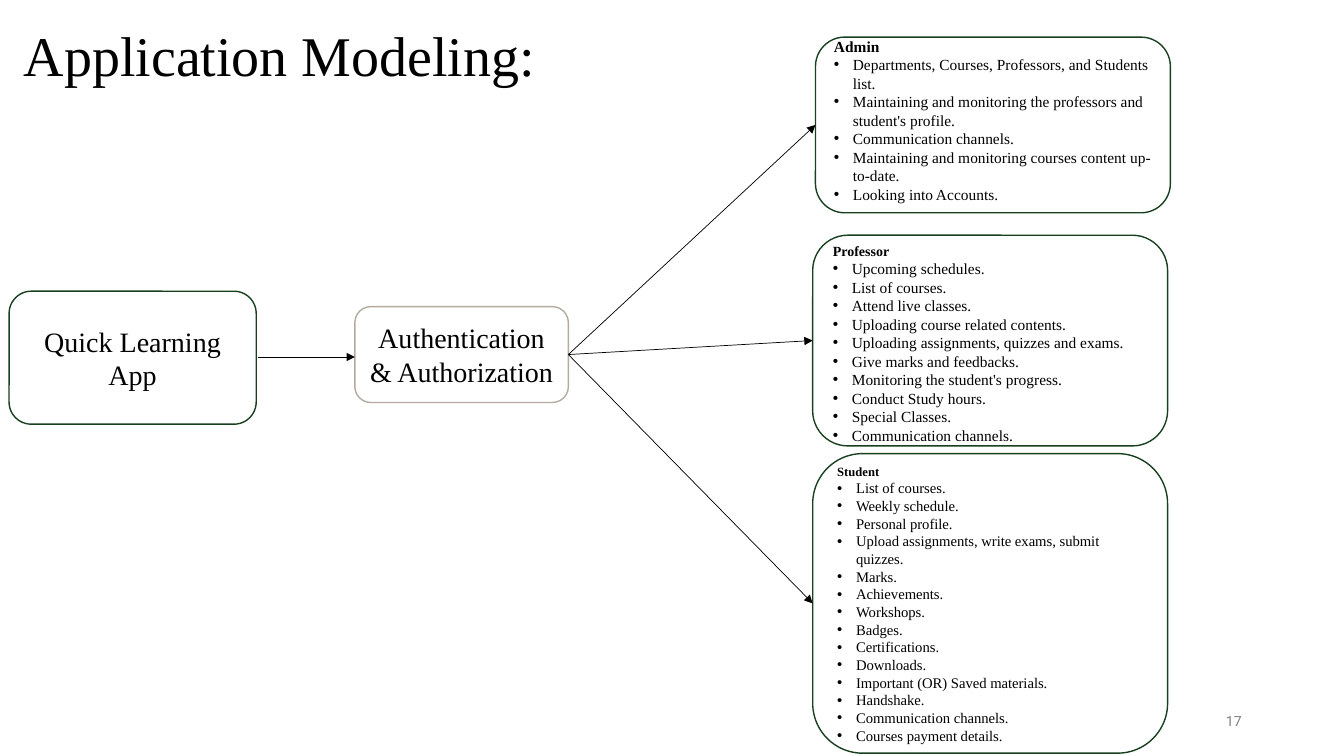
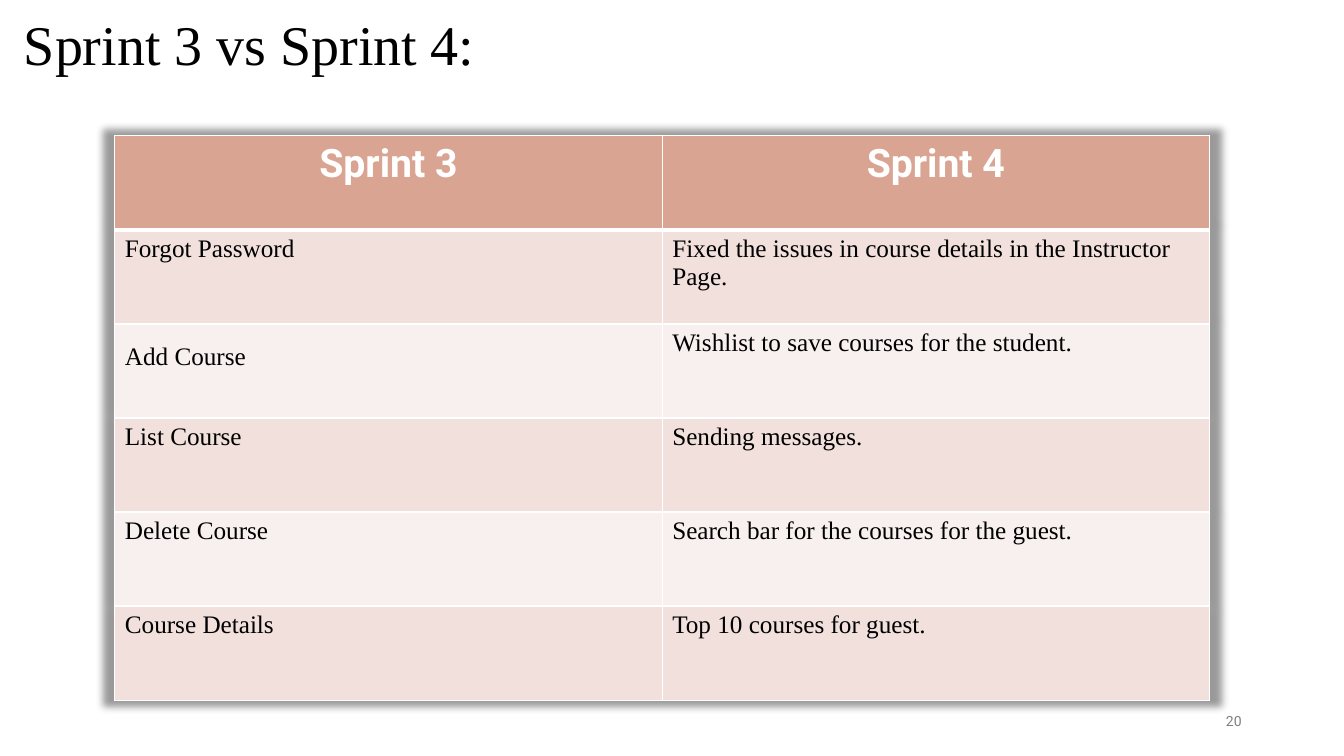
from lxml import etree
from pptx import Presentation
from pptx import util as u
from pptx.dml.color import RGBColor
from pptx.enum import shapes, text
from pptx.oxml import ns

Pt = u.Pt
SERIF, SANS = "Times New Roman", "Roboto"
COLORS = {
    "ink": "000000",
    "paper": "FFFFFF",
    "green": "18401F",
    "taupe": "B3AAA0",
    "grey": "808080",
    "header": "D9A491",
    "band_dark": "F1E0DC",
    "band_light": "F8F0EE",
}
SLIDE_SIZE = (960, 540)
TITLE_SIZE = (590, 55.5)
NUMBER_BOX = (678, 500.5, 216, 29)
LEFT, CENTER, RIGHT = text.PP_ALIGN.LEFT, text.PP_ALIGN.CENTER, text.PP_ALIGN.RIGHT
MIDDLE, TOP = text.MSO_ANCHOR.MIDDLE, text.MSO_ANCHOR.TOP

ROLES = [
    dict(
        box=(582.5, 26.5, 253.5, 125.5), role="Admin", role_size=11, duty_size=11, insets=(0, 7),
        duties=[
            "Departments, Courses, Professors, and Students list.",
            "Maintaining and monitoring the professors and student's profile.",
            "Communication channels.",
            "Maintaining and monitoring courses content up-to-date.",
            "Looking into Accounts.",
        ],
    ),
    dict(
        box=(580.5, 168, 253.5, 150.5), role="Professor", role_size=10, duty_size=11, insets=(4, 0),
        duties=[
            "Upcoming schedules.",
            "List of courses.",
            "Attend live classes.",
            "Uploading course related contents.",
            "Uploading assignments, quizzes and exams.",
            "Give marks and feedbacks.",
            "Monitoring the student's progress.",
            "Conduct Study hours.",
            "Special Classes.",
            "Communication channels.",
        ],
    ),
    dict(
        box=(580.5, 324, 253.5, 214), role="Student", role_size=9, duty_size=10.5, insets=(1, 0),
        duties=[
            "List of courses.",
            "Weekly schedule.",
            "Personal profile.",
            "Upload assignments, write exams, submit quizzes.",
            "Marks.",
            "Achievements.",
            "Workshops.",
            "Badges.",
            "Certifications.",
            "Downloads.",
            "Important (OR) Saved materials.",
            "Handshake.",
            "Communication channels.",
            "Courses payment details.",
        ],
    ),
]

SPRINTS = [
    ("Sprint 3", "Sprint 4"),
    ("Forgot Password", "Fixed the issues in course details in the Instructor Page."),
    ("Add Course", "Wishlist to save courses for the student."),
    ("List Course", "Sending messages."),
    ("Delete Course", "Search bar for the courses for the guest."),
    ("Course Details", "Top 10 courses for guest."),
]


def rgb(name):
    return RGBColor.from_string(COLORS[name])


def points(values):
    return [Pt(value) for value in values]


def child(parent, tag, **attributes):
    element = etree.SubElement(parent, ns.qn(tag))
    for key, value in attributes.items():
        element.set(key, str(value))
    return element


def write(frame, words, size=18, font=SERIF, color="ink", bold=False, align=LEFT,
          spacing=None, bullet=False, first=True):
    paragraph = frame.paragraphs[0] if first else frame.add_paragraph()
    if bullet:
        properties = paragraph._p.get_or_add_pPr()
        properties.set("marL", str(Pt(13.5)))
        properties.set("indent", str(-Pt(13.5)))
        child(properties, "a:buFont", typeface="Arial")
        child(properties, "a:buChar", char="•")
    paragraph.alignment = align
    if spacing:
        paragraph.line_spacing = spacing
    run = paragraph.add_run()
    run.text = words
    run.font.size = Pt(size)
    run.font.name = font
    run.font.bold = bold
    run.font.color.rgb = rgb(color)


def label(slide, box, words, anchor=TOP, **style):
    frame = slide.shapes.add_textbox(*points(box)).text_frame
    frame.word_wrap = True
    frame.vertical_anchor = anchor
    write(frame, words, **style)


def start_slide(deck, title, title_top, number):
    slide = deck.slides.add_slide(deck.slide_layouts[6])
    label(slide, NUMBER_BOX, number, anchor=MIDDLE, size=10, font=SANS, color="grey", align=RIGHT)
    label(slide, (10, title_top, *TITLE_SIZE), title, size=40, spacing=Pt(48))
    return slide


def rounded_box(slide, box, outline, insets=(3.6, 3.6)):
    card = slide.shapes.add_shape(shapes.MSO_SHAPE.ROUNDED_RECTANGLE, *points(box))
    card.shadow.inherit = False
    card.fill.solid()
    card.fill.fore_color.rgb = rgb("paper")
    card.line.color.rgb = rgb(outline)
    card.line.width = Pt(1)
    frame = card.text_frame
    frame.word_wrap = True
    frame.vertical_anchor = MIDDLE
    frame.margin_top, frame.margin_bottom = points(insets)
    return card


def step(slide, box, words, outline):
    card = rounded_box(slide, box, outline)
    write(card.text_frame, words, size=20, align=CENTER, spacing=Pt(24))
    return card


def role_card(slide, box, role, role_size, duty_size, insets, duties):
    card = rounded_box(slide, box, "green", insets)
    write(card.text_frame, role, size=role_size, bold=True, spacing=Pt(role_size * 1.2))
    for duty in duties:
        write(card.text_frame, duty, size=duty_size, spacing=Pt(duty_size * 1.2),
              bullet=True, first=False)
    return card


def arrow(slide, start=(0, 0), end=(0, 0), source=None, target=None):
    connector = slide.shapes.add_connector(shapes.MSO_CONNECTOR.STRAIGHT, *points(start + end))
    if source is not None:
        connector.begin_connect(source, 3)
    if target is not None:
        connector.end_connect(target, 1)
    connector.line.color.rgb = rgb("ink")
    connector.line.width = Pt(0.5)
    child(connector.line._get_or_add_ln(), "a:tailEnd", type="triangle")
    child(connector._element.spPr, "a:effectLst")


def border(cell, sides):
    properties = cell._tc.get_or_add_tcPr()
    for index, (side, width) in enumerate(sides.items()):
        edge = child(properties, f"a:{side}", w=Pt(width))
        child(child(edge, "a:solidFill"), "a:srgbClr", val=COLORS["paper"])
        properties.remove(edge)
        properties.insert(index, edge)


def glow_shadow(table):
    effects = etree.Element(ns.qn("a:effectLst"))
    shadow = child(effects, "a:outerShdw", blurRad=Pt(5), sx=102000, sy=102000,
                   algn="ctr", rotWithShape=0)
    child(child(shadow, "a:srgbClr", val=COLORS["ink"]), "a:alpha", val=40000)
    table._tbl.tblPr.insert(0, effects)


def sprint_table(slide, box, rows):
    width, height = box[2:]
    table = slide.shapes.add_table(len(rows), len(rows[0]), *points(box)).table
    glow_shadow(table)
    for column in table.columns:
        column.width = Pt(width / len(rows[0]))
    for r, entries in enumerate(rows):
        table.rows[r].height = Pt(height / len(rows))
        for c, words in enumerate(entries):
            cell = table.cell(r, c)
            cell.fill.solid()
            if r == 0:
                fill = "header"
                style = dict(size=28, font=SANS, color="paper", bold=True, align=CENTER)
            else:
                fill = "band_dark" if r % 2 else "band_light"
                style = dict(spacing=1.5 if words == "Add Course" else None)
            cell.fill.fore_color.rgb = rgb(fill)
            write(cell.text_frame, words, **style)
            border(cell, {"lnL": 1, "lnR": 1, "lnT": 3 if r == 1 else 1, "lnB": 3 if r == 0 else 1})


def modeling_slide(deck):
    slide = start_slide(deck, "Application Modeling:", 11, "17")
    step(slide, (6.5, 208, 176.5, 95), "Quick Learning App", "green")
    access = step(slide, (253.5, 219, 152.5, 68.5), "Authentication & Authorization", "taupe")
    arrow(slide, start=(184.5, 255), end=(253.5, 255))
    for role in ROLES:
        arrow(slide, source=access, target=role_card(slide, **role))


def sprint_slide(deck):
    slide = start_slide(deck, "Sprint 3 vs Sprint 4:", 3.5, "20")
    sprint_table(slide, (82, 97, 782, 403.2), SPRINTS)


def main():
    deck = Presentation()
    deck.slide_width, deck.slide_height = points(SLIDE_SIZE)
    modeling_slide(deck)
    sprint_slide(deck)
    deck.save("out.pptx")


if __name__ == "__main__":
    main()
